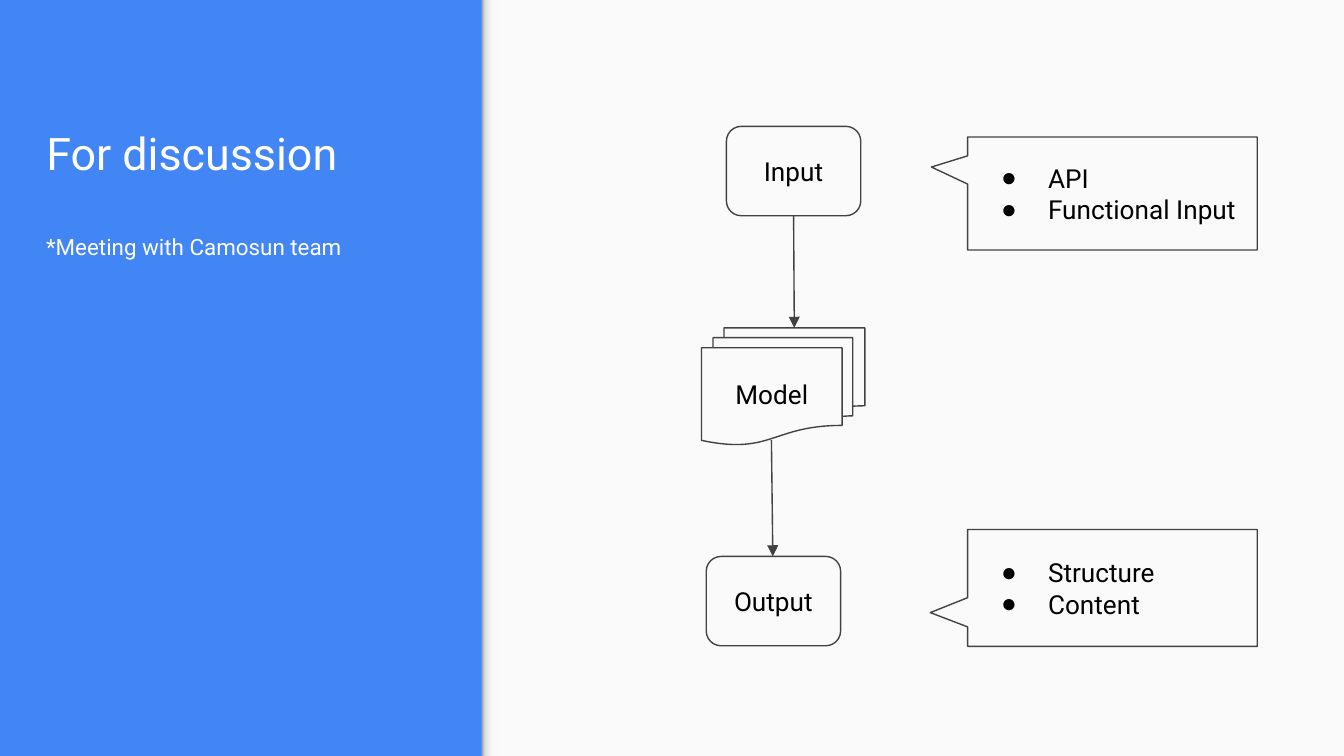
from lxml import etree
from pptx import Presentation
from pptx.dml.color import RGBColor
from pptx.enum.shapes import MSO_CONNECTOR, MSO_SHAPE
from pptx.enum.text import MSO_ANCHOR, MSO_AUTO_SIZE, PP_ALIGN
from pptx.oxml.ns import qn
from pptx.util import Emu, Pt

PX = 4572
FONT = "Roboto"
COLORS = {"blue": "4285F4", "panel": "FAFAFA", "line": "424242",
          "black": "000000", "white": "FFFFFF"}
EDGE_STOPS = [(0, "999999"), (20, "DEDEDE"), (64, "F9F9F9"), (100, "F9F9F9")]
PROCESS = MSO_SHAPE.FLOWCHART_ALTERNATE_PROCESS
MULTIDOCUMENT = MSO_SHAPE.FLOWCHART_MULTIDOCUMENT
CALLOUT = MSO_SHAPE.RECTANGULAR_CALLOUT
RECTANGLE = MSO_SHAPE.RECTANGLE
STRAIGHT = MSO_CONNECTOR.STRAIGHT
TOP, MIDDLE, BOTTOM = MSO_ANCHOR.TOP, MSO_ANCHOR.MIDDLE, MSO_ANCHOR.BOTTOM
LEFT, CENTER = PP_ALIGN.LEFT, PP_ALIGN.CENTER
NO_AUTOFIT = MSO_AUTO_SIZE.NONE


def px(*lengths):
    return [Emu(length * PX) for length in lengths]


def write(shape, lines, size, color, anchor, align, bullets=False):
    frame = shape.text_frame
    frame.word_wrap = True
    frame.auto_size = NO_AUTOFIT
    frame.vertical_anchor = anchor
    inset = Emu(20 * PX)
    frame.margin_left = frame.margin_right = inset
    frame.margin_top = frame.margin_bottom = inset
    for index, line in enumerate(lines):
        para = frame.add_paragraph() if index else frame.paragraphs[0]
        para.alignment = align
        if bullets:
            props = para._p.get_or_add_pPr()
            props.set("marL", str(100 * PX))
            props.set("indent", str(-70 * PX))
            bullet_color = etree.SubElement(props, qn("a:buClr"))
            etree.SubElement(bullet_color, qn("a:srgbClr"), val=COLORS[color])
            etree.SubElement(props, qn("a:buFont"), typeface="Arial")
            etree.SubElement(props, qn("a:buChar"), char="●")
        span = para.add_run()
        span.text = line
        span.font.name = FONT
        span.font.size = Pt(size)
        span.font.color.rgb = RGBColor.from_string(COLORS[color])


deck = Presentation()
deck.slide_width, deck.slide_height = px(2000, 1125)
page = deck.slides.add_slide(deck.slide_layouts[5])
page.background.fill.solid()
page.background.fill.fore_color.rgb = RGBColor.from_string(COLORS["blue"])

panel = page.shapes.add_shape(RECTANGLE, *px(717, 0, 1283, 1125))
panel.shadow.inherit = False
panel.fill.solid()
panel.fill.fore_color.rgb = RGBColor.from_string(COLORS["panel"])
panel.line.fill.background()

edge = page.shapes.add_shape(RECTANGLE, *px(717, 0, 24, 1125))
edge.shadow.inherit = False
edge.line.fill.background()
edge.fill.gradient()
edge.fill.gradient_angle = 0
stops = edge._element.spPr.find(qn("a:gradFill")).find(qn("a:gsLst"))
for stop in list(stops):
    stops.remove(stop)
for percent, shade in EDGE_STOPS:
    stop = etree.SubElement(stops, qn("a:gs"), pos=str(percent * 1000))
    etree.SubElement(stop, qn("a:srgbClr"), val=shade)

title = page.shapes.title
title.left, title.top, title.width, title.height = px(49, 79, 614, 208)
write(title, ["For discussion"], 24, "white", BOTTOM, LEFT)

note = page.shapes.add_textbox(*px(49, 321, 614, 692))
write(note, ["*Meeting with Camosun team"], 12, "white", TOP, LEFT)
note.text_frame.paragraphs[0].line_spacing = 1.15

nodes = [
    (PROCESS, (1081, 188, 200, 133), ["Input"], None),
    (MULTIDOCUMENT, (1044, 488, 243, 174), ["Model"], None),
    (PROCESS, (1051, 828, 200, 133), ["Output"], None),
    (CALLOUT, (1440, 204, 431, 168), ["API", "Functional Input"], (-0.625, -0.234)),
    (CALLOUT, (1440, 788, 431, 174), ["Structure", "Content"], (-0.629, 0.211)),
]
for kind, place, lines, pointer in nodes:
    node = page.shapes.add_shape(kind, *px(*place))
    node.shadow.inherit = False
    node.fill.background()
    node.line.color.rgb = RGBColor.from_string(COLORS["line"])
    node.line.width = Pt(0.75)
    if pointer:
        node.adjustments[0], node.adjustments[1] = pointer
    write(node, lines, 14, "black", MIDDLE, LEFT if pointer else CENTER, bool(pointer))

for ends in [(1181, 321, 1182, 488), (1148, 655, 1150, 828)]:
    arrow = page.shapes.add_connector(STRAIGHT, *px(*ends))
    arrow.line.color.rgb = RGBColor.from_string(COLORS["line"])
    arrow.line.width = Pt(0.75)
    etree.SubElement(arrow.line._get_or_add_ln(), qn("a:tailEnd"), type="triangle")
    etree.SubElement(arrow._element.spPr, qn("a:effectLst"))

deck.save("out.pptx")
